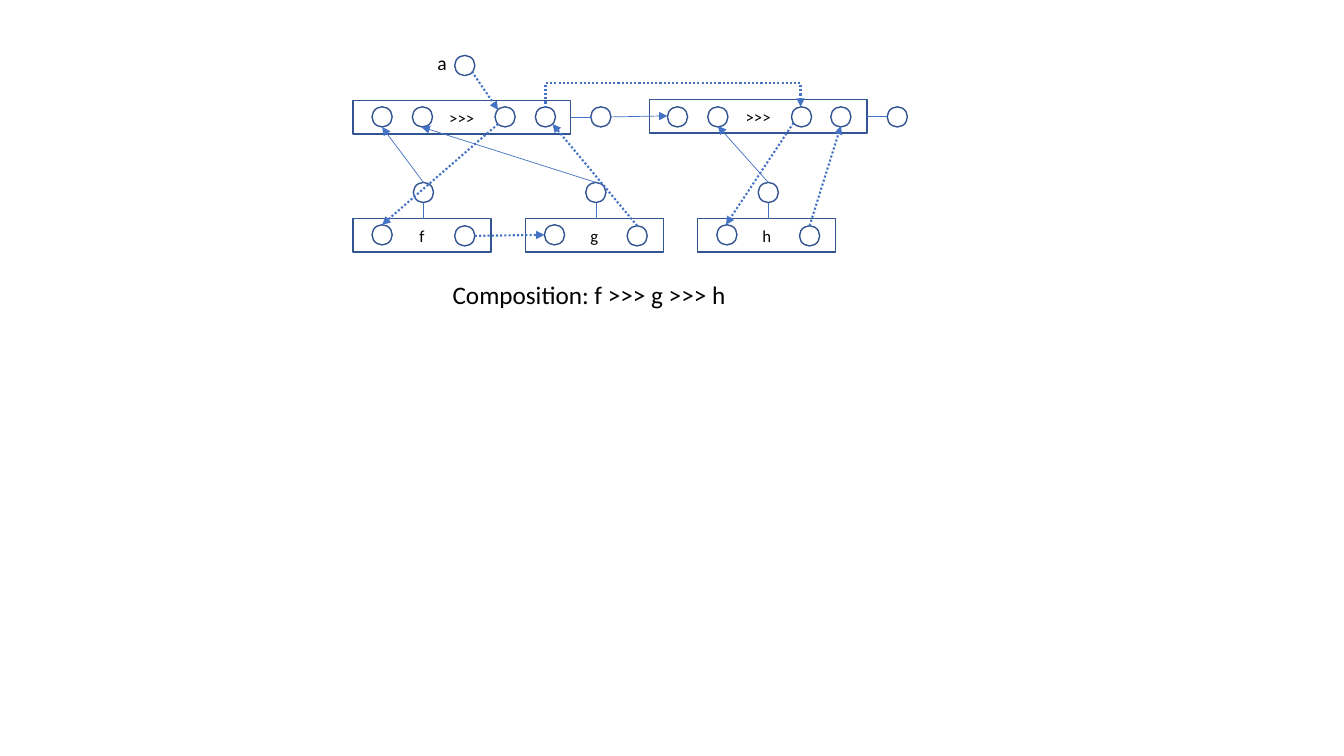
"""Draw the wiring diagram of the composition f >>> g >>> h."""
from dataclasses import dataclass

from lxml.etree import SubElement
from pptx import Presentation
from pptx.dml.color import RGBColor
from pptx.enum.dml import MSO_LINE
from pptx.enum.shapes import MSO_CONNECTOR as Connector, MSO_SHAPE as Shape
from pptx.enum.text import MSO_ANCHOR as Anchor, MSO_AUTO_SIZE as AutoSize, PP_ALIGN as Align
from pptx.oxml.ns import qn
from pptx.shapes.autoshape import Shape as AutoShape
from pptx.shapes.connector import Connector as Line
from pptx.slide import Slide
from pptx.text.text import TextFrame
from pptx.util import Emu, Pt

PX = 9144
NODE = 20


@dataclass(frozen=True)
class Theme:
    font: str = "Calibri"
    ink: RGBColor = RGBColor(0x00, 0x00, 0x00)
    outline: RGBColor = RGBColor(0x32, 0x54, 0x91)
    wire: RGBColor = RGBColor(0x44, 0x72, 0xC4)
    box_size: int = 12
    input_size: int = 14
    caption_size: int = 18
    outline_width: float = 1
    wire_width: float = 0.5
    flow_width: float = 1.5


@dataclass(frozen=True)
class Box:
    label: str
    left: int
    top: int
    width: int
    nodes: tuple[tuple[int, int], ...]
    stem: tuple[int, int, int, int]


@dataclass(frozen=True)
class Wire:
    start: tuple[int, int]
    end: tuple[int, int]
    flow: bool = False
    arrow: bool = True


@dataclass(frozen=True)
class Label:
    text: str
    left: int
    top: int
    width: int
    height: int
    size: int


THEME = Theme()
BOX_HEIGHT = 33
FUNCTION_NODES = ((19, 6), (60, -36), (101, 7))
FUNCTION_STEM = (70, 0, 70, -16)
COMPOSER_NODES = ((19, 6), (59, 6), (141, 6), (181, 6), (236, 6))
SHIFTED_NODES = ((18, 7), (58, 7), (141, 7), (180, 7), (236, 7))
COMPOSER_STEM = (216, 16, 236, 16)

BOXES = [
    Box(name, 350 + 171 * index, 217, 137, FUNCTION_NODES, FUNCTION_STEM)
    for index, name in enumerate("fgh")
] + [
    Box(">>>", 350, 100, 216, COMPOSER_NODES, COMPOSER_STEM),
    Box(">>>", 644, 99, 216, SHIFTED_NODES, COMPOSER_STEM),
]

INPUT_NODE = (451, 55)

WIRES = [
    Wire((606, 116), (662, 115)),
    Wire((420, 181), (379, 126)),
    Wire((591, 181), (418, 126)),
    Wire((762, 181), (712, 125)),
    Wire((468, 71), (494, 109), flow=True),
    Wire((494, 123), (379, 223), flow=True),
    Wire((471, 234), (540, 233), flow=True),
    Wire((787, 122), (720, 223), flow=True),
    Wire((803, 224), (834, 125), flow=True),
    Wire((632, 224), (548, 123), flow=True),
]

RESULT_START, RESULT_END = (541, 106), (794, 106)
RESULT_RISE = 25

LABELS = [
    Label("Composition: f >>> g >>> h", 439, 272, 301, 40, THEME.caption_size),
    Label("a", 424, 46, 30, 34, THEME.input_size),
]


def px(length: int) -> Emu:
    """Turn px into EMU."""
    return Emu(length * PX)


def write(frame: TextFrame, text: str, size: int) -> None:
    """Set the text of a frame and format its run."""
    frame.text = text
    font = frame.paragraphs[0].runs[0].font
    font.name, font.size = THEME.font, Pt(size)
    font.color.rgb = THEME.ink


def draw_outline(page: Slide, kind: Shape, left: int, top: int, width: int, height: int) -> AutoShape:
    """Add an unfilled outlined shape."""
    shape = page.shapes.add_shape(kind, px(left), px(top), px(width), px(height))
    shape.shadow.inherit = False
    shape.fill.background()
    shape.line.color.rgb = THEME.outline
    shape.line.width = Pt(THEME.outline_width)
    return shape


def draw_node(page: Slide, left: int, top: int) -> None:
    """Add one round node."""
    draw_outline(page, Shape.OVAL, left, top, NODE, NODE)


def draw_wire(page: Slide, wire: Wire, kind: Connector = Connector.STRAIGHT) -> Line:
    """Add a thin wire or a dotted data flow."""
    line = page.shapes.add_connector(kind, *map(px, wire.start + wire.end))
    line.line.color.rgb = THEME.wire
    line.line.width = Pt(THEME.flow_width if wire.flow else THEME.wire_width)
    if wire.flow:
        line.line.dash_style = MSO_LINE.ROUND_DOT
    properties = line._element.spPr
    if wire.arrow:
        SubElement(properties.find(qn("a:ln")), qn("a:tailEnd"), type="triangle")
    SubElement(properties, qn("a:effectLst"))
    return line


def draw_result_flow(page: Slide) -> None:
    """Add the bent flow that rises between the two composers."""
    (left, level), (right, _) = RESULT_START, RESULT_END
    center, half = (left + right) // 2, (right - left) // 2
    wire = Wire((center + 1, level + half + 1), (center, level - half), flow=True)
    line = draw_wire(page, wire, Connector.ELBOW)
    properties = line._element.spPr
    properties.find(qn("a:xfrm")).set("rot", str(90 * 60000))
    geometry = properties.find(qn("a:prstGeom"))
    guides = geometry.find(qn("a:avLst"))
    if guides is None:
        guides = SubElement(geometry, qn("a:avLst"))
    SubElement(guides, qn("a:gd"), name="adj1", fmla=f"val {RESULT_RISE * 100000}")


def draw_box(page: Slide, box: Box) -> None:
    """Add a labelled box with its nodes and stem."""
    shape = draw_outline(page, Shape.RECTANGLE, box.left, box.top, box.width, BOX_HEIGHT)
    write(shape.text_frame, box.label, THEME.box_size)
    shape.text_frame.vertical_anchor = Anchor.MIDDLE
    shape.text_frame.paragraphs[0].alignment = Align.CENTER
    for across, down in box.nodes:
        draw_node(page, box.left + across, box.top + down)
    x1, y1, x2, y2 = box.stem
    start, end = (box.left + x1, box.top + y1), (box.left + x2, box.top + y2)
    draw_wire(page, Wire(start, end, arrow=False))


def draw_label(page: Slide, label: Label) -> None:
    """Add a free-standing text."""
    box = page.shapes.add_textbox(px(label.left), px(label.top), px(label.width), px(label.height))
    write(box.text_frame, label.text, label.size)
    box.text_frame.word_wrap = False
    box.text_frame.auto_size = AutoSize.SHAPE_TO_FIT_TEXT


def main() -> None:
    """Build and save the deck."""
    deck = Presentation()
    deck.slide_width, deck.slide_height = px(1333), px(750)
    page = deck.slides.add_slide(deck.slide_layouts[6])
    for box in BOXES:
        draw_box(page, box)
    draw_node(page, *INPUT_NODE)
    for wire in WIRES:
        draw_wire(page, wire)
    draw_result_flow(page)
    for label in LABELS:
        draw_label(page, label)
    deck.save("out.pptx")


if __name__ == "__main__":
    main()
